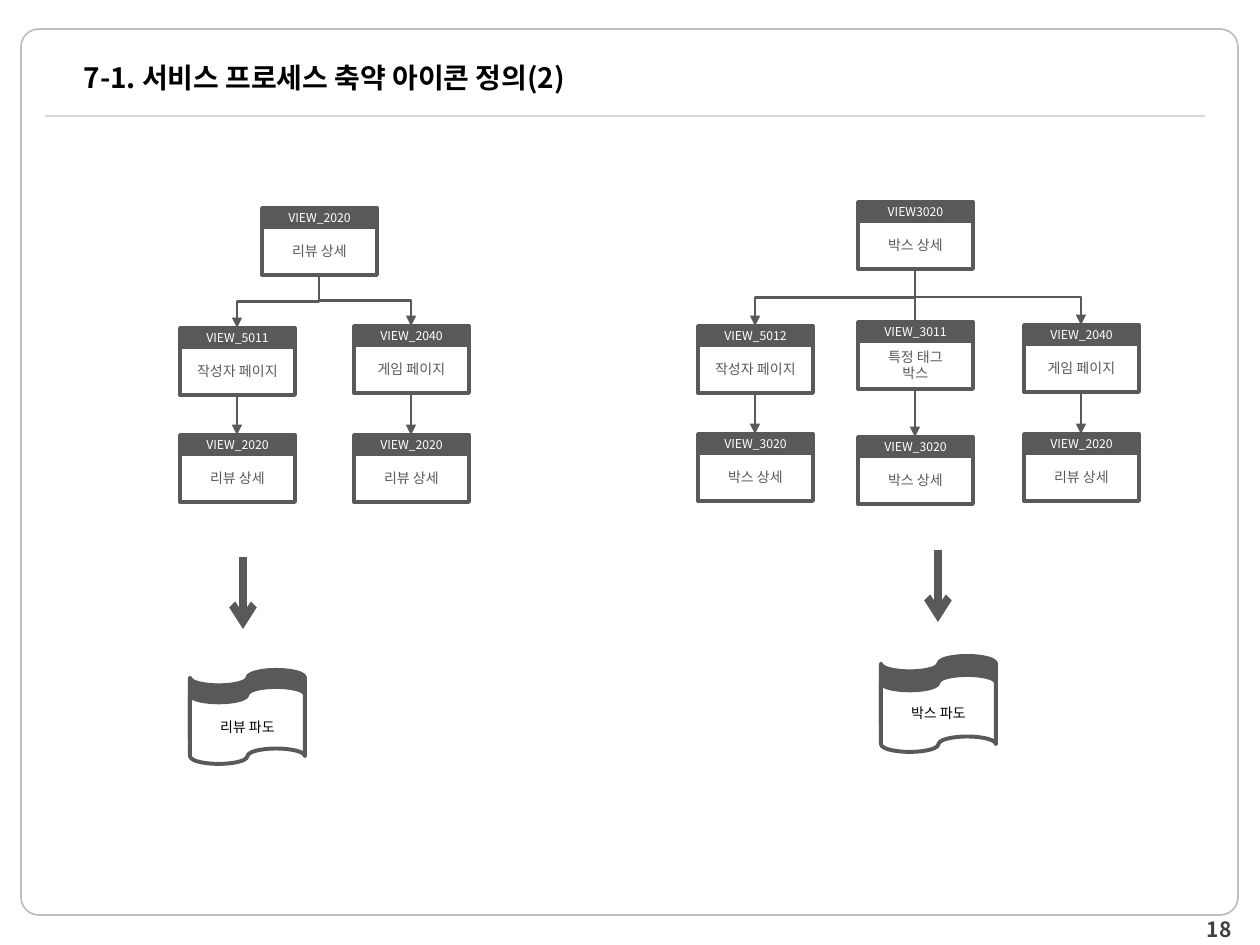
from lxml import etree
from pptx import Presentation
from pptx.dml.color import RGBColor
from pptx.enum.shapes import MSO_CONNECTOR, MSO_SHAPE
from pptx.enum.text import MSO_ANCHOR, MSO_AUTO_SIZE, PP_ALIGN
from pptx.oxml.ns import qn
from pptx.util import Pt

EMU_PER_PX = 914400 / 126
FONT = "Noto Sans CJK KR"
COLORS = {
    "dark": "595959",
    "white": "FFFFFF",
    "black": "000000",
    "number": "404040",
    "frame": "BFBFBF",
    "rule": "D9D9D9",
}
RECT = MSO_SHAPE.RECTANGLE
ROUNDED = MSO_SHAPE.ROUNDED_RECTANGLE
TAPE = MSO_SHAPE.FLOWCHART_PUNCHED_TAPE
STRAIGHT = MSO_CONNECTOR.STRAIGHT
ELBOW = MSO_CONNECTOR.ELBOW
MIDDLE = MSO_ANCHOR.MIDDLE
NO_FIT = MSO_AUTO_SIZE.NONE
LEFT, CENTER, RIGHT = PP_ALIGN.LEFT, PP_ALIGN.CENTER, PP_ALIGN.RIGHT

CARD_W, HEAD_H, BODY_H = 115, 19, 48
CARD_H = HEAD_H + BODY_H
CARD_MID = CARD_W // 2
TAPE_H = 77


def px(*values):
    return [round(v * EMU_PER_PX) for v in values]


def rgb(name):
    return RGBColor.from_string(COLORS[name])


class Deck:
    def __init__(self):
        self.prs = Presentation()
        self.prs.slide_width, self.prs.slide_height = px(1260, 945)
        self.s = self.prs.slides.add_slide(self.prs.slide_layouts[5])

    def set_text(self, sp, text, size, color, align=CENTER, bold=False, wrap=True):
        tf = sp.text_frame
        tf.word_wrap = wrap
        tf.auto_size = NO_FIT
        tf.vertical_anchor = MIDDLE
        p = tf.paragraphs[0]
        p.text = text
        p.alignment = align
        for r in p.runs:
            r.font.size = Pt(size)
            r.font.bold = bold
            r.font.name = FONT
            r.font.color.rgb = rgb(color)
            ea = etree.Element(qn("a:ea"), typeface=FONT)
            r._r.rPr.find(qn("a:latin")).addnext(ea)

    def title(self, text, x, y, w, h):
        sp = self.s.shapes.title
        sp.left, sp.top, sp.width, sp.height = px(x, y, w, h)
        self.set_text(sp, text, 16, "black", LEFT, True)

    def label(self, text, x, y, w, h, size, color, **style):
        sp = self.s.shapes.add_textbox(*px(x, y, w, h))
        self.set_text(sp, text, size, color, **style)

    def shape(self, kind, x, y, w, h, fill=None, line="dark", width=2.25):
        sp = self.s.shapes.add_shape(kind, *px(x, y, w, h))
        sp.shadow.inherit = False
        if fill:
            sp.fill.solid()
            sp.fill.fore_color.rgb = rgb(fill)
        else:
            sp.fill.background()
        sp.line.color.rgb = rgb(line)
        sp.line.width = Pt(width)
        return sp

    def line(self, x1, y1, x2, y2, kind=STRAIGHT, color="dark", width=1.5, end=None):
        c = self.s.shapes.add_connector(kind, *px(x1, y1, x2, y2))
        c.line.color.rgb = rgb(color)
        c.line.width = Pt(width)
        props = c._element.spPr
        if end:
            etree.SubElement(props.find(qn("a:ln")), qn("a:tailEnd"), type=end)
        etree.SubElement(props, qn("a:effectLst"))
        return c

    def card(self, x, y, code, name):
        body = self.shape(RECT, x, y + HEAD_H, CARD_W, BODY_H, "white")
        self.set_text(body, name, 8, "dark")
        head = self.shape(RECT, x, y, CARD_W, HEAD_H, "dark", width=2)
        self.set_text(head, code, 7, "white")

    def drop(self, x, y1, y2, end="triangle"):
        self.line(x, y1, x, y2, end=end)

    def branch(self, x1, y1, x2, y2):
        mid_x, mid_y = (x1 + x2) / 2, (y1 + y2) / 2
        across, down = abs(x2 - x1) / 2, (y2 - y1) / 2
        side = 1 if x2 > x1 else -1
        c = self.line(mid_x + side * down, mid_y - across,
                      mid_x - side * down, mid_y + across, ELBOW, end="triangle")
        angle = 270 if side == 1 else 90
        c._element.spPr.find(qn("a:xfrm")).set("rot", str(angle * 60000))

    def tree(self, root, columns):
        root_x, root_y = root[:2]
        start_x, start_y = root_x + CARD_MID, root_y + CARD_H
        self.card(*root)
        for x, child_y, child, leaf_y, leaf in columns:
            self.card(x, child_y, *child)
            self.card(x, leaf_y, *leaf)
            mid = x + CARD_MID
            if x == root_x:
                self.drop(start_x, start_y, child_y, end=None)
            else:
                self.branch(start_x, start_y, mid, child_y)
            self.drop(mid, child_y + CARD_H, leaf_y)

    def wave(self, x, y, gap, name):
        self.shape(TAPE, x, y, CARD_W, TAPE_H, "dark")
        self.shape(TAPE, x, y + gap, CARD_W, TAPE_H, "white")
        self.label(name, x, y + 42, CARD_W, 30, 8, "black", wrap=False)

    def big_arrow(self, x, y):
        self.line(x, y, x, y + 72, width=4.5, end="arrow")


def main():
    deck = Deck()
    frame = deck.shape(ROUNDED, 21, 29, 1217, 886, line="frame", width=1)
    frame.adjustments[0] = 0.02
    deck.line(45, 116, 1205, 116, color="rule")
    deck.label("18", 950, 919, 294, 20, 12, "number", align=RIGHT, bold=True)
    deck.title("7-1. 서비스 프로세스 축약 아이콘 정의(2)", 71, 23, 1118, 108)

    review = ("VIEW_2020", "리뷰 상세")
    box = ("VIEW_3020", "박스 상세")
    game = ("VIEW_2040", "게임 페이지")

    deck.tree((262, 208, *review), [
        (180, 328, ("VIEW_5011", "작성자 페이지"), 435, review),
        (354, 326, game, 435, review),
    ])
    deck.big_arrow(243, 557)
    deck.wave(190, 670, 17, "리뷰 파도")

    deck.tree((858, 202, "VIEW3020", "박스 상세"), [
        (698, 326, ("VIEW_5012", "작성자 페이지"), 434, box),
        (858, 322, ("VIEW_3011", "특정 태그\n박스"), 437, box),
        (1024, 325, game, 434, review),
    ])
    deck.big_arrow(938, 550)
    deck.wave(881, 656, 19, "박스 파도")

    deck.prs.save("out.pptx")


if __name__ == "__main__":
    main()
